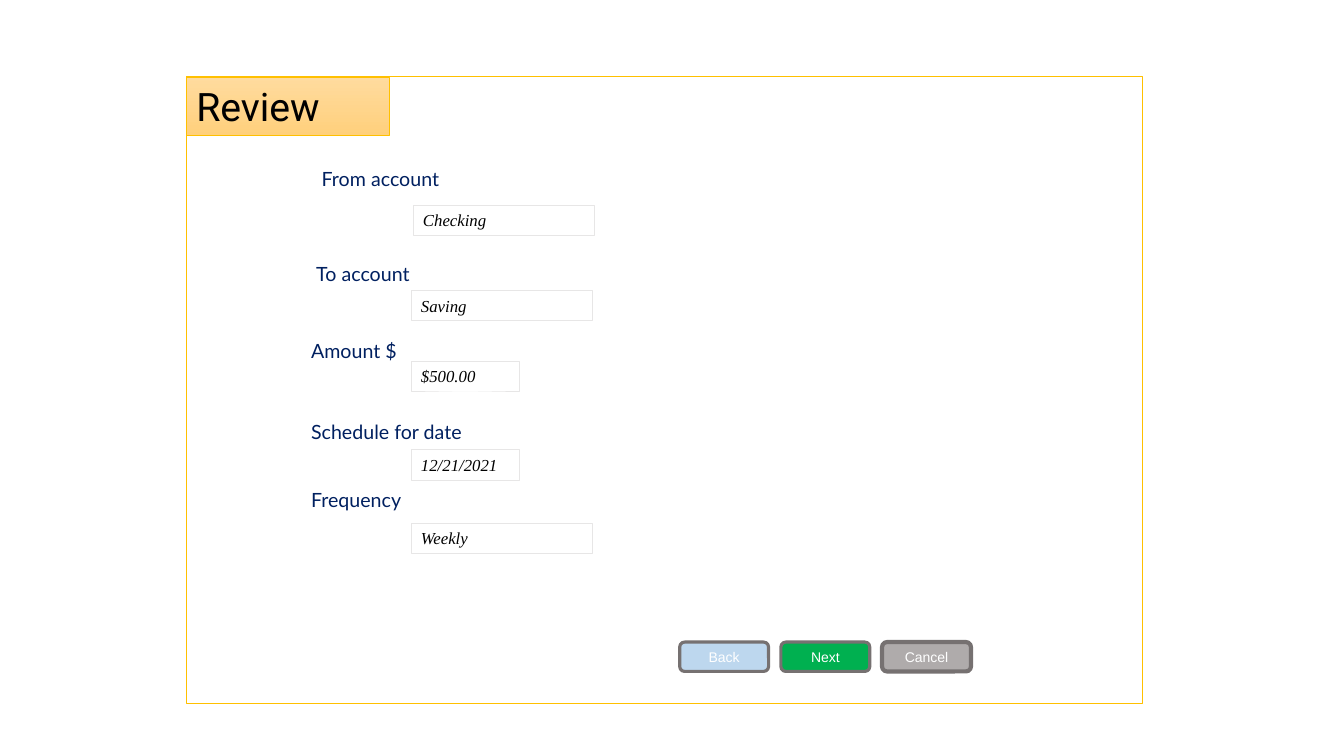
"""Build the review step of a money transfer form."""
import pptx
import pptx.util
import pptx.dml.color
import pptx.enum.shapes
import pptx.enum.text

Cm, Pt = pptx.util.Cm, pptx.util.Pt
SHAPE = pptx.enum.shapes.MSO_SHAPE
ALIGN = pptx.enum.text.PP_ALIGN
ANCHOR = pptx.enum.text.MSO_ANCHOR

COLOURS = {
    "gold": "FFC000", "title top": "FFDB9E", "title bottom": "FFD07C",
    "black": "000000", "navy": "002060", "white": "FFFFFF",
    "field line": "E7E6E6", "button line": "767171",
    "blue": "BDD7EE", "green": "00B050", "grey": "AFABAB",
}
TITLE = "Review"
WIDE, NARROW = 4.57, 2.72
FIELDS = [
    {"label": "From account", "label_at": (7.59, 4.09), "label_width": 3.73,
     "align": ALIGN.RIGHT, "value": "Checking", "value_at": (10.41, 5.16), "value_width": WIDE},
    {"label": "To account", "label_at": (7.72, 6.48), "label_width": 3.61,
     "align": ALIGN.LEFT, "value": "Saving", "value_at": (10.36, 7.32), "value_width": WIDE},
    {"label": "Amount $", "label_at": (7.59, 8.41), "label_width": 4.17,
     "align": ALIGN.LEFT, "value": "$500.00", "value_at": (10.36, 9.09), "value_width": NARROW},
    {"label": "Schedule for date", "label_at": (7.59, 10.46), "label_width": 5.11,
     "align": ALIGN.LEFT, "value": "12/21/2021", "value_at": (10.36, 11.33), "value_width": NARROW},
    {"label": "Frequency", "label_at": (7.59, 12.17), "label_width": 5.11,
     "align": ALIGN.LEFT, "value": "Weekly", "value_at": (10.36, 13.18), "value_width": WIDE},
]
BUTTONS = [("Back", "blue", 2.25), ("Next", "green", 2.25), ("Cancel", "grey", 3)]
BUTTON_LEFT, BUTTON_TOP, BUTTON_PITCH = 17.13, 16.18, 2.55


def rgb(colour):
    return pptx.dml.color.RGBColor.from_string(COLOURS[colour])


def write(shape, text, font, size, colour, align=ALIGN.LEFT, anchor=ANCHOR.TOP, italic=False):
    frame = shape.text_frame
    frame.text = text
    frame.word_wrap = True
    frame.vertical_anchor = anchor
    paragraph = frame.paragraphs[0]
    paragraph.alignment = align
    style = paragraph.runs[0].font
    style.name, style.size, style.italic = font, Pt(size), italic
    style.color.rgb = rgb(colour)


def outline(slide, kind, box, line, width, fill=None):
    shape = slide.shapes.add_shape(kind, *map(Cm, box))
    shape.shadow.inherit = False
    shape.line.color.rgb = rgb(line)
    shape.line.width = Pt(width)
    if fill:
        shape.fill.solid()
        shape.fill.fore_color.rgb = rgb(fill)
    else:
        shape.fill.background()
    return shape


def main():
    deck = pptx.Presentation()
    deck.slide_width, deck.slide_height = Cm(33.87), Cm(19.05)
    slide = deck.slides.add_slide(deck.slide_layouts[6])

    title = outline(slide, SHAPE.RECTANGLE, (4.7, 1.96, 5.11, 1.45), "gold", 0.5)
    title.fill.gradient()
    title.fill.gradient_angle = 270
    for stop, colour in zip(title.fill.gradient_stops, ("title top", "title bottom")):
        stop.color.rgb = rgb(colour)
    write(title, TITLE, "Roboto", 28, "black")

    for field in FIELDS:
        label = slide.shapes.add_textbox(
            *map(Cm, (*field["label_at"], field["label_width"], 0.86)))
        write(label, field["label"], "Lato", 14, "navy", field["align"])
        value = outline(slide, SHAPE.RECTANGLE,
                        (*field["value_at"], field["value_width"], 0.76), "field line", 0.25)
        write(value, field["value"], "Times New Roman", 12, "black", italic=True)

    outline(slide, SHAPE.RECTANGLE, (4.7, 1.93, 24.08, 15.8), "gold", 0.25)

    for place, (caption, fill, line_width) in enumerate(BUTTONS):
        button = outline(slide, SHAPE.ROUNDED_RECTANGLE,
                         (BUTTON_LEFT + place * BUTTON_PITCH, BUTTON_TOP, 2.24, 0.74),
                         "button line", line_width, fill)
        write(button, caption, "Arial", 10, "white", ALIGN.CENTER, ANCHOR.MIDDLE)

    deck.save("out.pptx")


if __name__ == "__main__":
    main()
